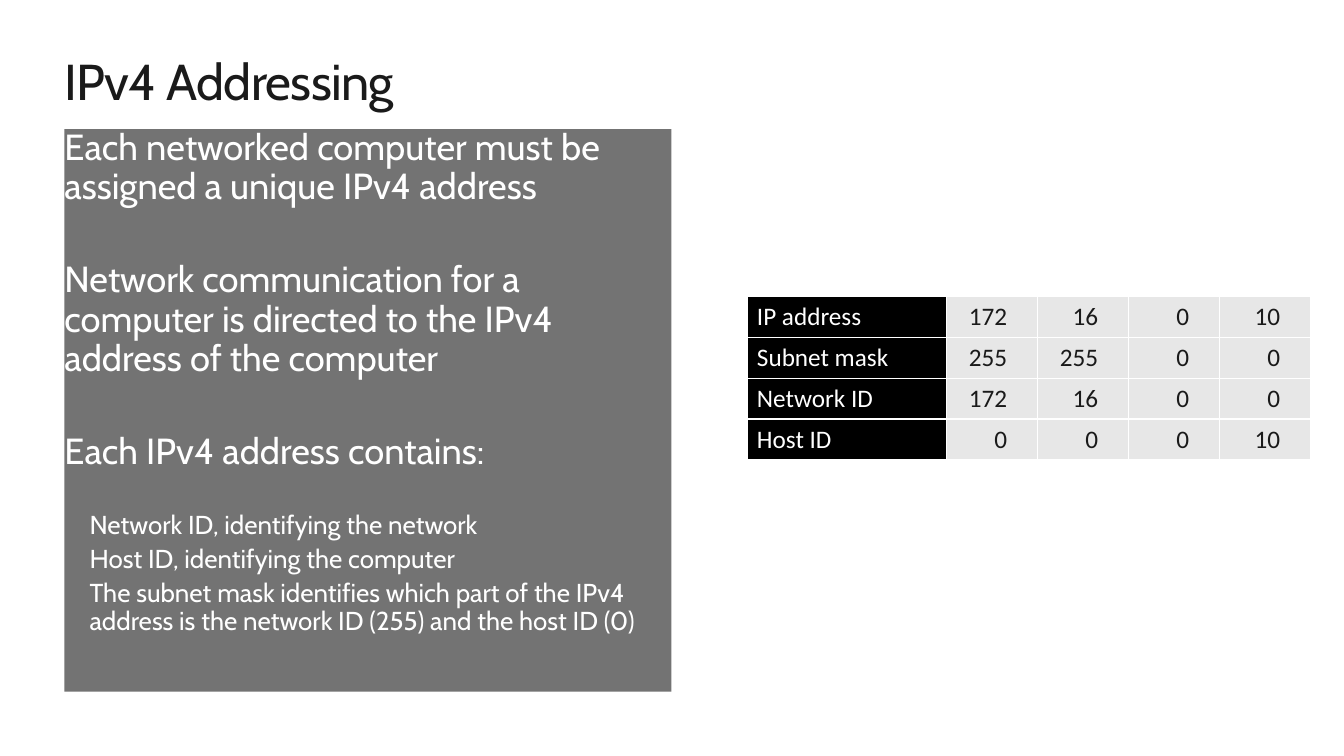
"""Build the IPv4 addressing slide."""
from dataclasses import dataclass

from lxml.etree import SubElement
from pptx import Presentation
from pptx.dml.color import RGBColor
from pptx.enum.shapes import MSO_SHAPE
from pptx.enum.text import MSO_ANCHOR, MSO_AUTO_SIZE, PP_ALIGN
from pptx.oxml.ns import qn
from pptx.slide import Slide
from pptx.table import _Cell
from pptx.text.text import TextFrame, _Paragraph
from pptx.util import Pt

WHITE = RGBColor(0xFF, 0xFF, 0xFF)
BLACK = RGBColor(0x00, 0x00, 0x00)
INK = RGBColor(0x1A, 0x1A, 0x1A)
PANEL_GRAY = RGBColor(0x73, 0x73, 0x73)
CELL_GRAY = RGBColor(0xE7, 0xE7, 0xE7)
HEADING_FONT = "Cabin"
TABLE_FONT = "Calibri"
LEFT = 46
LABEL_WIDTH, OCTET_WIDTH, ROW_HEIGHT = 142.5, 65, 29.2


@dataclass(frozen=True)
class Point:
    """One paragraph of the panel."""

    text: str
    size: float = 25.9
    before: float = 38.6
    indent: float = 0


@dataclass(frozen=True)
class AddressRow:
    """One table row: a label and four octets."""

    label: str
    octets: tuple[int, int, int, int]


POINTS = (
    Point("Each networked computer must be assigned a unique IPv4 address", before=0),
    Point("Network communication for a computer is directed to the IPv4 address of the computer"),
    Point("Each IPv4 address contains:"),
    Point("Network ID, identifying the network", 18.5, 28.6, 18),
    Point("Host ID, identifying the computer", 18.5, 4.2, 18),
    Point("The subnet mask identifies which part of the IPv4 address is "
          "the network ID (255) and the host ID (0)", 18.5, 4.2, 18),
)
ROWS = (
    AddressRow("IP address", (172, 16, 0, 10)),
    AddressRow("Subnet mask", (255, 255, 0, 0)),
    AddressRow("Network ID", (172, 16, 0, 0)),
    AddressRow("Host ID", (0, 0, 0, 10)),
)


def write(p: _Paragraph, text: str, *, size: float, font: str, color: RGBColor,
          align: PP_ALIGN = PP_ALIGN.LEFT, line: float = 1.0, before: float = 0,
          indent: float = 0, tracking: float = 0) -> None:
    """Add formatted text to a paragraph."""
    pPr = p._p.get_or_add_pPr()
    pPr.set("marL", str(Pt(indent)))
    pPr.set("indent", "0")
    p.alignment, p.line_spacing, p.space_before = align, line, Pt(before)
    r = p.add_run()
    r.text = text
    r.font.size, r.font.name, r.font.bold = Pt(size), font, False
    r.font.color.rgb = color
    if tracking:
        r._r.get_or_add_rPr().set("spc", str(round(tracking * 100)))


def set_frame(tf: TextFrame, anchor: MSO_ANCHOR) -> None:
    """Give a text frame no margins, wrapping and an anchor."""
    tf.margin_left = tf.margin_top = tf.margin_right = tf.margin_bottom = 0
    tf.word_wrap, tf.auto_size = True, MSO_AUTO_SIZE.NONE
    tf.vertical_anchor = anchor


def add_title(s: Slide) -> None:
    """Place and fill the title."""
    sp = s.shapes.title
    sp.left, sp.top, sp.width, sp.height = Pt(LEFT), Pt(36), Pt(867.6), Pt(44)
    set_frame(sp.text_frame, MSO_ANCHOR.TOP)
    write(sp.text_frame.paragraphs[0], "IPv4 Addressing", size=36,
          font=HEADING_FONT, color=INK, tracking=-0.5)


def add_panel(s: Slide) -> None:
    """Draw the gray panel with its points."""
    sp = s.shapes.add_shape(MSO_SHAPE.RECTANGLE, Pt(LEFT), Pt(92.2), Pt(433.5), Pt(401.8))
    sp.shadow.inherit = False
    sp.fill.solid()
    sp.fill.fore_color.rgb = PANEL_GRAY
    sp.line.fill.background()
    tf = sp.text_frame
    set_frame(tf, MSO_ANCHOR.TOP)
    for i, point in enumerate(POINTS):
        p = tf.add_paragraph() if i else tf.paragraphs[0]
        write(p, point.text, size=point.size, font=HEADING_FONT, color=WHITE,
              line=0.9, before=point.before, indent=point.indent)


def style_cell(cell: _Cell, fill: RGBColor) -> None:
    """Give a cell thin white borders and a fill."""
    tcPr = cell._tc.get_or_add_tcPr()
    for side in ("a:lnL", "a:lnR", "a:lnT", "a:lnB"):
        ln = SubElement(tcPr, qn(side), w=str(Pt(1)))
        SubElement(SubElement(ln, qn("a:solidFill")), qn("a:srgbClr"), val=str(WHITE))
    cell.fill.solid()
    cell.fill.fore_color.rgb = fill


def add_address_table(s: Slide) -> None:
    """Draw the table of addresses and masks."""
    widths = (LABEL_WIDTH,) + (OCTET_WIDTH,) * 4
    table = s.shapes.add_table(len(ROWS), len(widths), Pt(533.5), Pt(211.7),
                               Pt(sum(widths)), Pt(ROW_HEIGHT * len(ROWS))).table
    table.first_row = table.horz_banding = False
    for column, width in zip(table.columns, widths):
        column.width = Pt(width)
    for i, row in enumerate(ROWS):
        table.rows[i].height = Pt(ROW_HEIGHT)
        label = table.cell(i, 0)
        style_cell(label, BLACK)
        write(label.text_frame.paragraphs[0], row.label, size=18, font=TABLE_FONT, color=WHITE)
        for j, octet in enumerate(row.octets, start=1):
            cell = table.cell(i, j)
            style_cell(cell, CELL_GRAY)
            cell.margin_right = Pt(21.6)
            write(cell.text_frame.paragraphs[0], str(octet), size=18, font=TABLE_FONT,
                  color=INK, align=PP_ALIGN.RIGHT)


def main() -> None:
    """Build and save the presentation."""
    prs = Presentation()
    prs.slide_width, prs.slide_height = Pt(960), Pt(540)
    s = prs.slides.add_slide(prs.slide_layouts.get_by_name("Title Only"))
    add_title(s)
    add_panel(s)
    add_address_table(s)
    prs.save("out.pptx")


if __name__ == "__main__":
    main()
